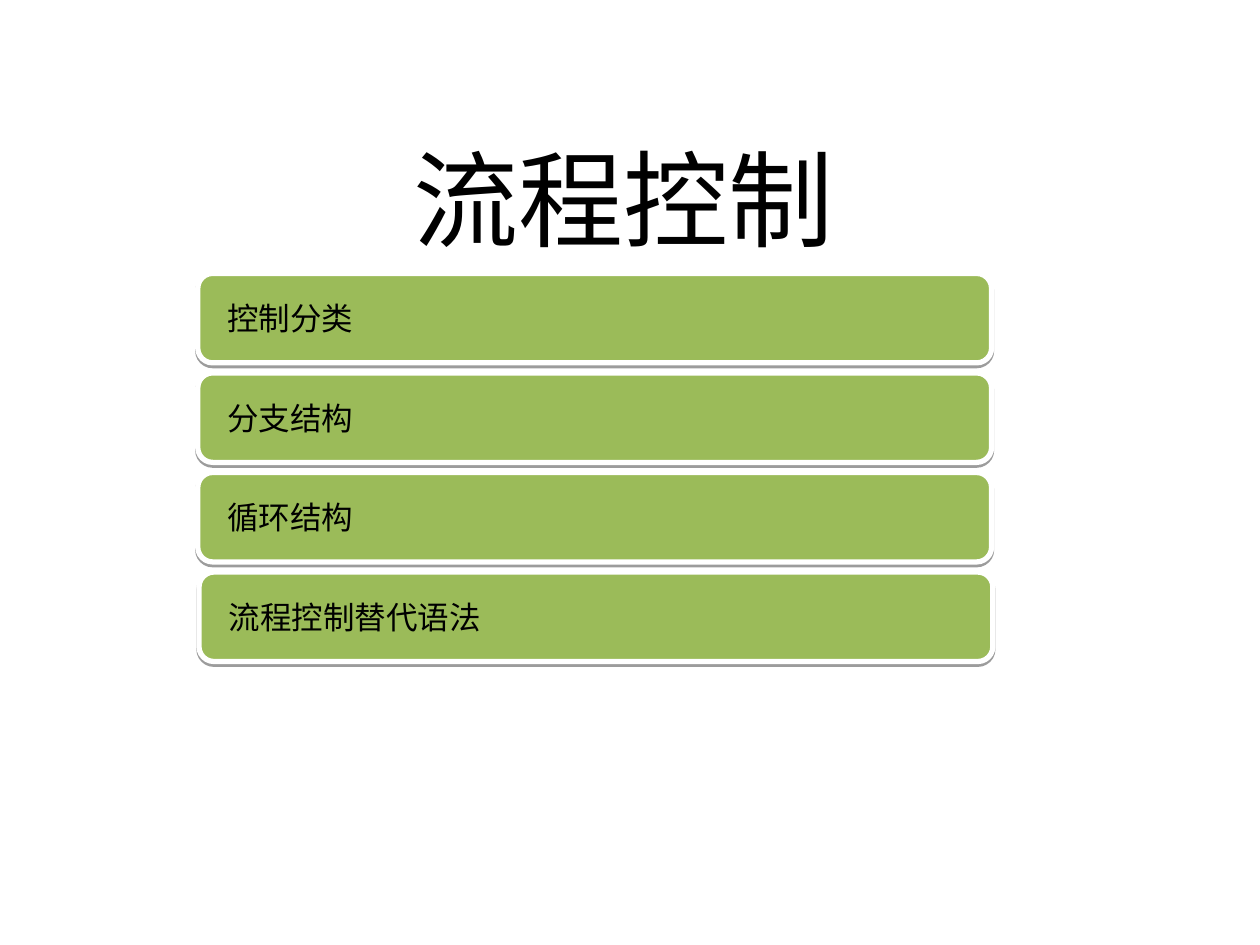
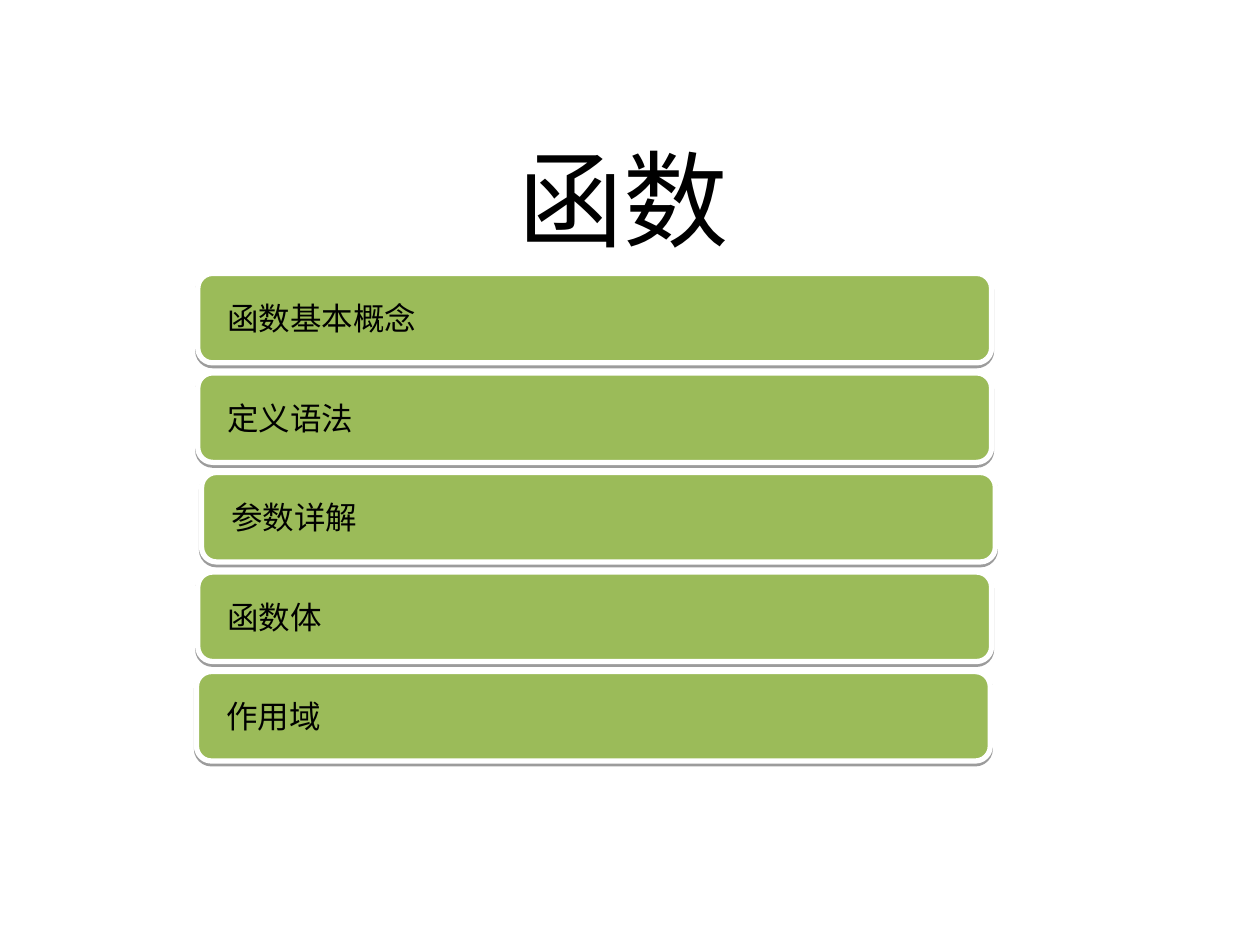
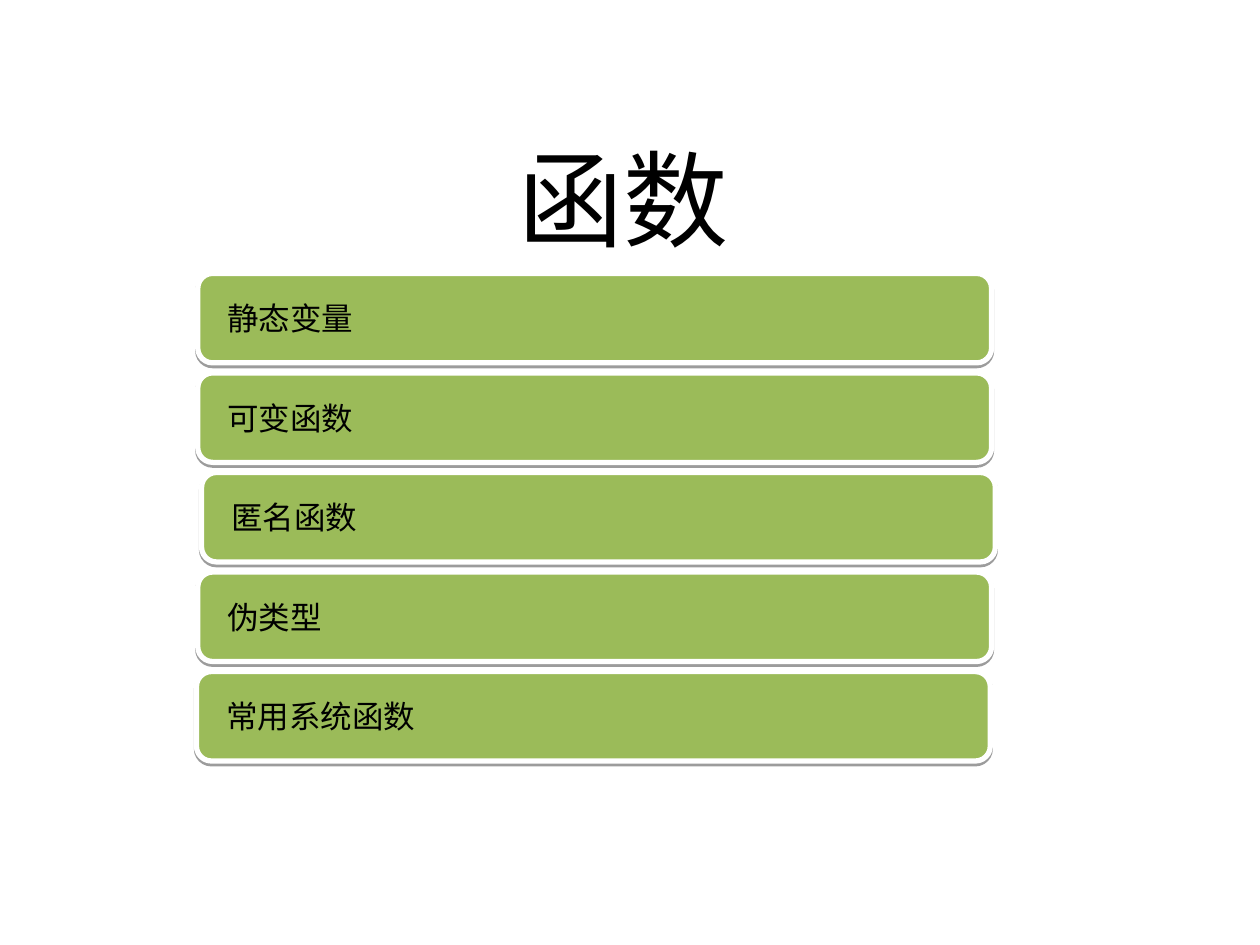
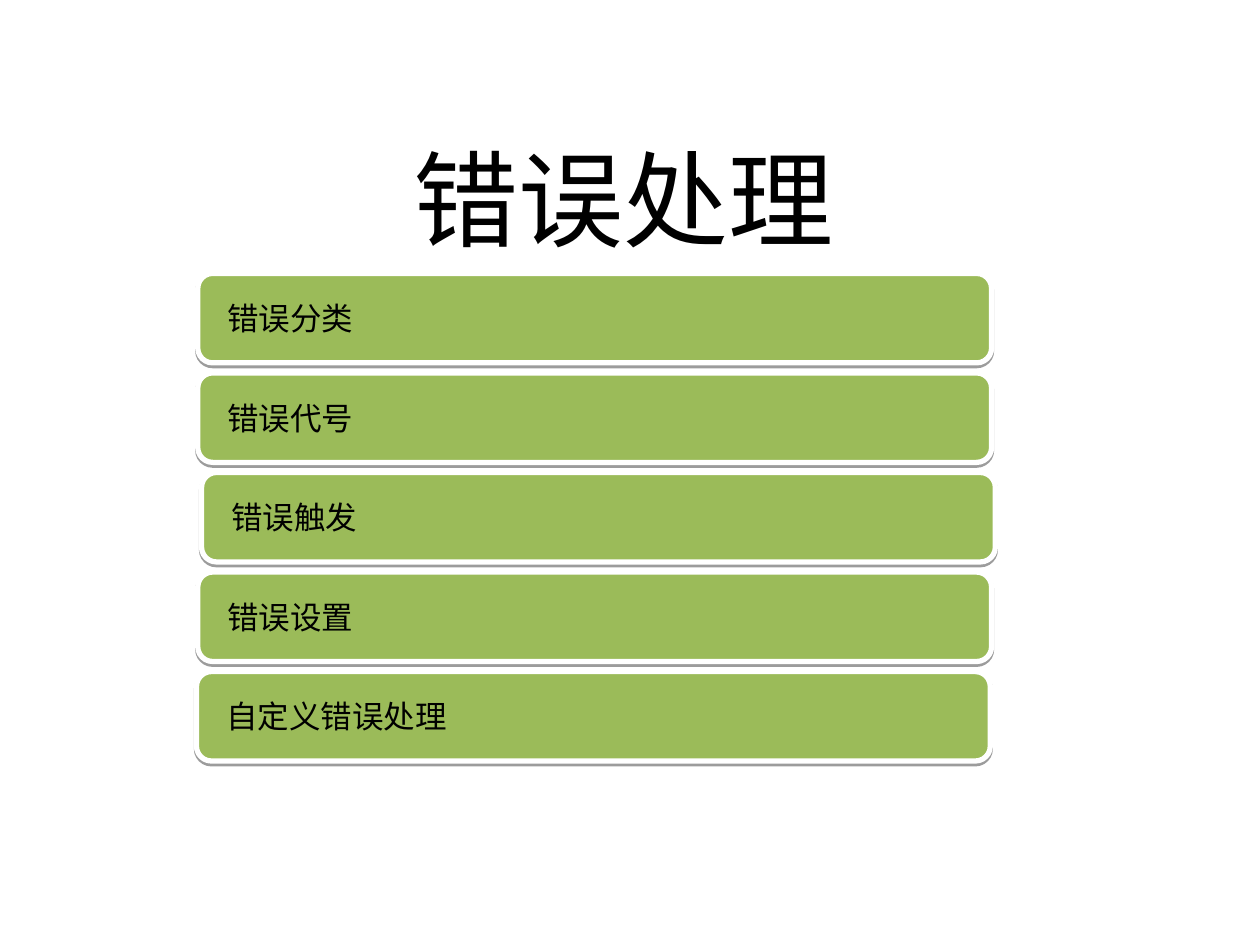
"""Build four chapter slides, each a title over a stack of topic bars."""
from lxml import etree
from pptx import Presentation
from pptx.dml.color import RGBColor
from pptx.enum.shapes import MSO_SHAPE
from pptx.enum.text import MSO_ANCHOR, MSO_AUTO_SIZE, PP_ALIGN
from pptx.oxml.ns import qn
from pptx.util import Inches, Pt

ROUND = MSO_SHAPE.ROUNDED_RECTANGLE
TOP, MIDDLE = MSO_ANCHOR.TOP, MSO_ANCHOR.MIDDLE
LEFT, CENTER = PP_ALIGN.LEFT, PP_ALIGN.CENTER
GROW = MSO_AUTO_SIZE.SHAPE_TO_FIT_TEXT

EVEN = (1.57, 1.57, 1.57, 1.58)
STEPPED = (1.57, 1.57, 1.6, 1.57, 1.56)
PAGES = [
    ("流程控制", EVEN, ["控制分类", "分支结构", "循环结构", "流程控制替代语法"]),
    ("函数", STEPPED, ["函数基本概念", "定义语法", "参数详解", "函数体", "作用域"]),
    ("函数", STEPPED, ["静态变量", "可变函数", "匿名函数", "伪类型", "常用系统函数"]),
    ("错误处理", STEPPED, ["错误分类", "错误代号", "错误触发", "错误设置", "自定义错误处理"]),
]

COLORS = {"text": "000000", "bar": "9BBB59", "edge": "FFFFFF", "shade": "000000"}
FONT = "Calibri"
TITLE_BOX = (0.96, 1.02, 7.98, 1.1)
BAR_TOP, BAR_STEP = 2.17, 0.79
BAR_WIDTH, BAR_HEIGHT = 6.3, 0.71


def color(name):
    return RGBColor.from_string(COLORS[name])


def write(shape, text, size=18, align=LEFT, anchor=TOP, inset=0.1):
    frame = shape.text_frame
    frame.word_wrap = True
    frame.vertical_anchor = anchor
    frame.margin_left = Inches(inset)
    frame.margin_right = Inches(0.1)
    frame.margin_top = frame.margin_bottom = Inches(0.05)
    para = frame.paragraphs[0]
    para.alignment = align
    run = para.add_run()
    run.text = text
    run.font.name = FONT
    run.font.size = Pt(size)
    run.font.color.rgb = color("text")


def add_shade(shape):
    shape.shadow.inherit = False
    effects = shape.element.spPr.find(qn("a:effectLst"))
    outer = etree.SubElement(effects, qn("a:outerShdw"), blurRad="0",
                             dist=str(Pt(1.6)), dir="5400000", rotWithShape="0")
    tint = etree.SubElement(outer, qn("a:srgbClr"), val=COLORS["shade"])
    etree.SubElement(tint, qn("a:alpha"), val="38000")


def add_title(slide, text):
    box = slide.shapes.add_textbox(*map(Inches, TITLE_BOX))
    write(box, text, size=60, align=CENTER)
    box.text_frame.auto_size = GROW


def add_bar(slide, text, left, top):
    bar = slide.shapes.add_shape(ROUND, Inches(left), Inches(top),
                                 Inches(BAR_WIDTH), Inches(BAR_HEIGHT))
    bar.fill.solid()
    bar.fill.fore_color.rgb = color("bar")
    bar.line.color.rgb = color("edge")
    bar.line.width = Pt(3)
    add_shade(bar)
    write(bar, text, anchor=MIDDLE, inset=0.2)


def main():
    deck = Presentation()
    deck.slide_width, deck.slide_height = Inches(10), Inches(7.5)
    for title, lefts, topics in PAGES:
        slide = deck.slides.add_slide(deck.slide_layouts[6])
        add_title(slide, title)
        for row, (topic, left) in enumerate(zip(topics, lefts)):
            add_bar(slide, topic, left, BAR_TOP + row * BAR_STEP)
    deck.save("out.pptx")


if __name__ == "__main__":
    main()
